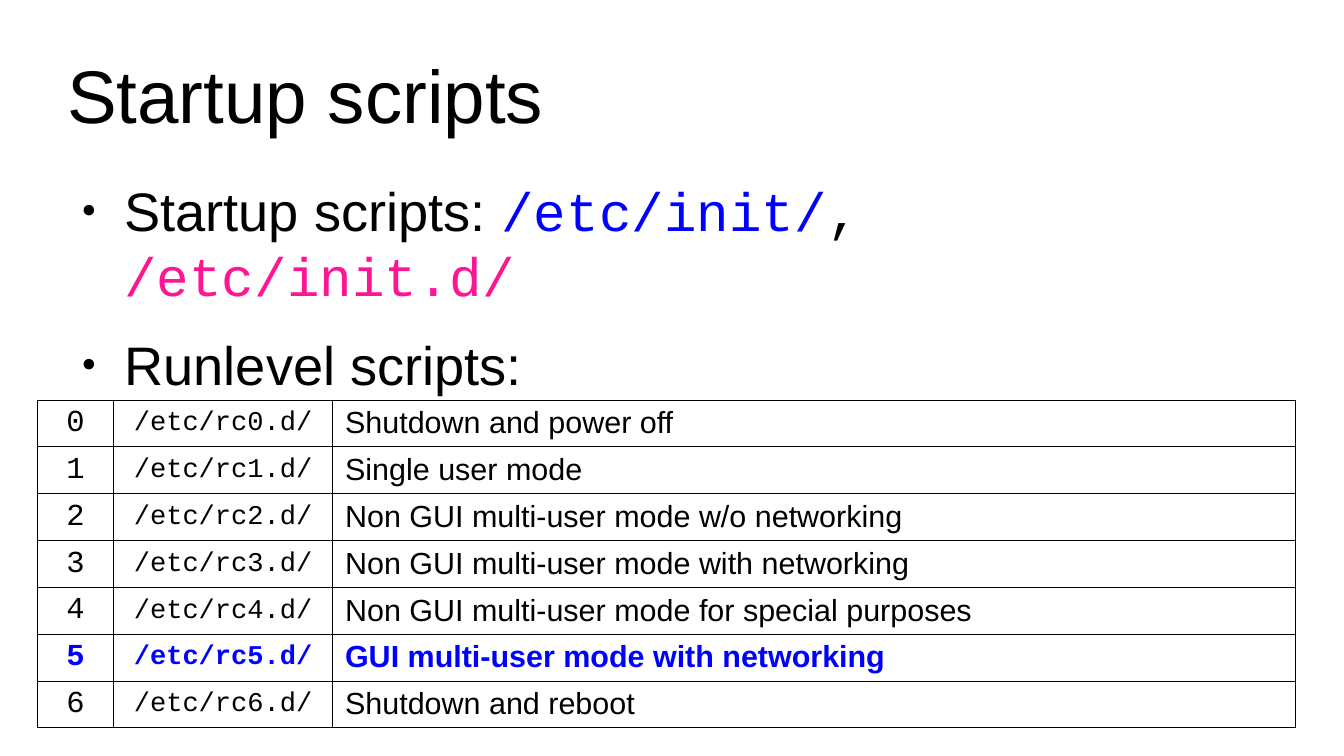
from lxml.etree import SubElement
from pptx import Presentation
from pptx.dml.color import RGBColor
from pptx.enum.text import MSO_ANCHOR, MSO_AUTO_SIZE, PP_ALIGN
from pptx.oxml.ns import qn
from pptx.util import Inches, Pt

COLORS = {"black": "000000", "white": "FFFFFF", "blue": "0000FF", "pink": "FF1493"}
SANS, MONO = "Arial", "Courier New"
RUNLEVELS = [
    "Shutdown and power off",
    "Single user mode",
    "Non GUI multi-user mode w/o networking",
    "Non GUI multi-user mode with networking",
    "Non GUI multi-user mode for special purposes",
    "GUI multi-user mode with networking",
    "Shutdown and reboot",
]
DEFAULT_LEVEL = 5


def add_text(para, text, size, font=SANS, color="black", bold=False):
    span = para.add_run()
    span.text = text
    span.font.size = Pt(size)
    span.font.name = font
    span.font.bold = bold
    span.font.color.rgb = RGBColor.from_string(COLORS[color])


def place_frame(holder, box, anchor):
    """Move a placeholder into the box and return its text frame."""
    holder.left, holder.top, holder.width, holder.height = map(Inches, box)
    frame = holder.text_frame
    frame.margin_left = frame.margin_right = frame.margin_top = frame.margin_bottom = 0
    frame.auto_size = MSO_AUTO_SIZE.NONE
    frame.word_wrap = True
    frame.vertical_anchor = anchor
    return frame


def add_bullet(para):
    properties = para._p.get_or_add_pPr()
    properties.set("marL", str(Inches(0.47)))
    properties.set("indent", str(Inches(-0.35)))
    color = SubElement(properties, qn("a:buClr"))
    SubElement(color, qn("a:srgbClr"), val=COLORS["black"])
    SubElement(properties, qn("a:buSzPct"), val="45000")
    SubElement(properties, qn("a:buFont"), typeface=SANS)
    SubElement(properties, qn("a:buChar"), char="●")


# Title
def add_title(page, box):
    para = place_frame(page.shapes.title, box, MSO_ANCHOR.MIDDLE).paragraphs[0]
    para.alignment = PP_ALIGN.LEFT
    add_text(para, "Startup scripts", 44)


# Bulleted list
def add_body(page, box):
    frame = place_frame(page.placeholders[1], box, MSO_ANCHOR.TOP)
    bullets = [
        [
            ("Startup scripts: ", {}),
            ("/etc/init/", {"font": MONO, "color": "blue"}),
            (", ", {"font": MONO}),
            ("/etc/init.d/", {"font": MONO, "color": "pink"}),
        ],
        [("Runlevel scripts:", {})],
    ]
    for index, spans in enumerate(bullets):
        para = frame.add_paragraph() if index else frame.paragraphs[0]
        add_bullet(para)
        para.space_before = Pt(14.2 if index else 0)
        for text, style in spans:
            add_text(para, text, 32, **style)


def add_borders(cell):
    properties = cell._tc.get_or_add_tcPr()
    for side in ("lnL", "lnR", "lnT", "lnB"):
        line = SubElement(properties, qn(f"a:{side}"), w=str(Pt(0.57)))
        fill = SubElement(line, qn("a:solidFill"))
        SubElement(fill, qn("a:srgbClr"), val=COLORS["black"])


# Runlevel table
def add_runlevel_table(page, box):
    left, top, width, height = box
    count = len(RUNLEVELS)
    table = page.shapes.add_table(count, 3, *map(Inches, box)).table
    table.first_row = table.horz_banding = False
    for column, size in zip(table.columns, (0.62, 1.8, width - 2.42)):
        column.width = Inches(size)
    for level, meaning in enumerate(RUNLEVELS):
        table.rows[level].height = Inches(height / count)
        emphasis = {"color": "blue", "bold": True} if level == DEFAULT_LEVEL else {}
        entries = [(str(level), 18, MONO), (f"/etc/rc{level}.d/", 16, MONO), (meaning, 18, SANS)]
        for cell, (text, size, font) in zip(table.rows[level].cells, entries):
            add_borders(cell)
            cell.fill.solid()
            cell.fill.fore_color.rgb = RGBColor.from_string(COLORS["white"])
            cell.margin_left = cell.margin_right = Inches(0.1)
            cell.margin_top = cell.margin_bottom = Inches(0.05)
            cell.vertical_anchor = MSO_ANCHOR.MIDDLE if font == MONO else MSO_ANCHOR.TOP
            para = cell.text_frame.paragraphs[0]
            para.alignment = PP_ALIGN.CENTER if font == MONO else PP_ALIGN.LEFT
            add_text(para, text, size, font, **emphasis)


def main():
    deck = Presentation()
    deck.slide_width, deck.slide_height = Inches(11.02), Inches(6.2)
    page = deck.slides.add_slide(deck.slide_layouts[1])
    add_title(page, (0.55, 0.25, 9.92, 1.04))
    add_body(page, (0.55, 1.45, 9.92, 3.6))
    add_runlevel_table(page, (0.31, 3.28, 10.31, 2.69))
    deck.save("out.pptx")


if __name__ == "__main__":
    main()
